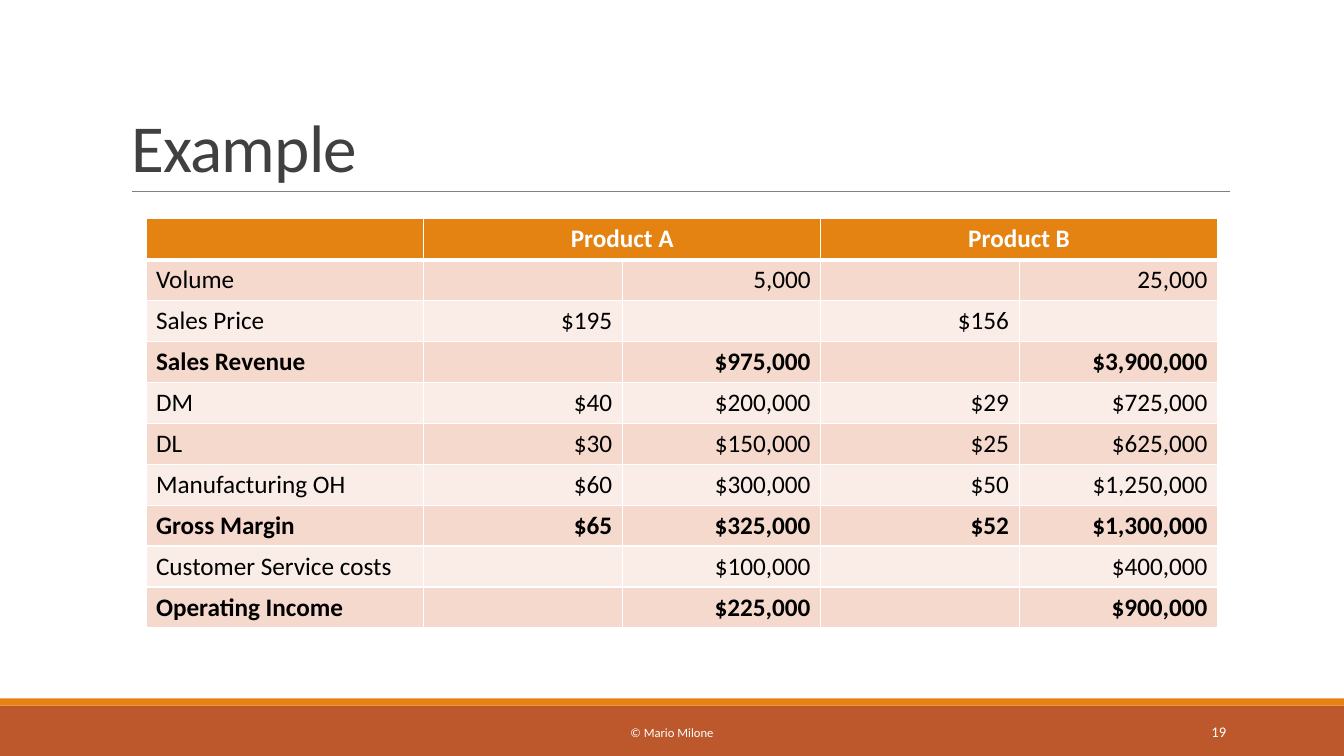
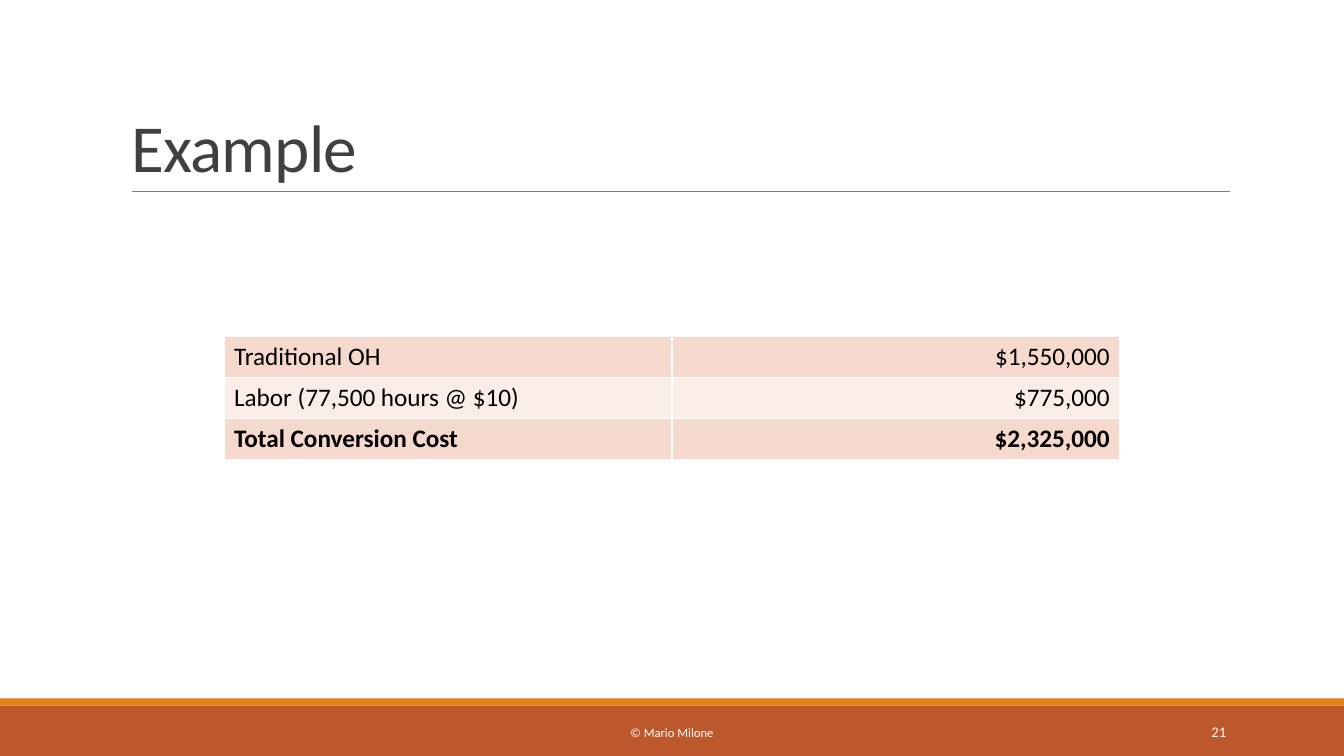
from lxml.etree import SubElement
from pptx import Presentation
from pptx.dml.color import RGBColor
from pptx.enum.shapes import MSO_CONNECTOR, MSO_SHAPE
from pptx.enum.text import MSO_ANCHOR, MSO_AUTO_SIZE, PP_ALIGN
from pptx.oxml.ns import qn
from pptx.util import Pt

WIDTH, HEIGHT = 960, 540
ROW_HEIGHT = 29.25
LEFT, CENTER, RIGHT = PP_ALIGN.LEFT, PP_ALIGN.CENTER, PP_ALIGN.RIGHT

PRODUCT_ROWS = [
    ["", "Product A", "", "Product B", ""],
    ["Volume", "", "5,000", "", "25,000"],
    ["Sales Price", "$195", "", "$156", ""],
    ["Sales Revenue", "", "$975,000", "", "$3,900,000"],
    ["DM", "$40", "$200,000", "$29", "$725,000"],
    ["DL", "$30", "$150,000", "$25", "$625,000"],
    ["Manufacturing OH", "$60", "$300,000", "$50", "$1,250,000"],
    ["Gross Margin", "$65", "$325,000", "$52", "$1,300,000"],
    ["Customer Service costs", "", "$100,000", "", "$400,000"],
    ["Operating Income", "", "$225,000", "", "$900,000"],
]
COST_ROWS = [
    ["Traditional OH", "$1,550,000"],
    ["Labor (77,500 hours @ $10)", "$775,000"],
    ["Total Conversion Cost", "$2,325,000"],
]
TOTALS = {"Sales Revenue", "Gross Margin", "Operating Income", "Total Conversion Cost"}


def color(value):
    """Turn a hex string into a colour."""
    return RGBColor.from_string(value)


def assign(target, values):
    """Set each attribute named in a dict."""
    for name, value in values.items():
        setattr(target, name, value)


class Deck:
    """Hold the house style and the slide being built."""

    FONT = "Calibri"
    RUST, ORANGE, GRAY = "BD582C", "E48312", "808080"
    WHITE, BLACK, TITLE = "FFFFFF", "000000", "404040"
    BANDING = ["F5D9CC", "FAEDE7"]

    def __init__(self):
        """Start an empty widescreen presentation."""
        self.show = Presentation()
        assign(self.show, {"slide_width": Pt(WIDTH), "slide_height": Pt(HEIGHT)})
        self.page = None

    def add_text(self, frame, text, size, ink, align=LEFT, bold=False):
        """Add one formatted run and return its paragraph and run."""
        para = frame.paragraphs[0]
        para.alignment = align
        span = para.add_run()
        span.text = text
        assign(span.font, {"name": self.FONT, "size": Pt(size), "bold": bold})
        span.font.color.rgb = color(ink)
        return para, span

    def band(self, top, height, fill):
        """Draw a full-width band."""
        box = self.page.shapes.add_shape(
            MSO_SHAPE.RECTANGLE, 0, Pt(top), Pt(WIDTH), Pt(height))
        box.shadow.inherit = False
        box.fill.solid()
        box.fill.fore_color.rgb = color(fill)
        box.line.fill.background()

    def rule(self, left, right, top):
        """Draw the thin line below the title."""
        line = self.page.shapes.add_connector(
            MSO_CONNECTOR.STRAIGHT, Pt(left), Pt(top), Pt(right), Pt(top))
        line.line.width = Pt(0.5)
        line.line.color.rgb = color(self.GRAY)
        SubElement(line._element.spPr, qn("a:effectLst"))

    def label(self, text, left, width, size, align):
        """Place a footer text."""
        box = self.page.shapes.add_textbox(Pt(left), Pt(508.5), Pt(width), Pt(28.75))
        assign(box.text_frame, {"word_wrap": True, "vertical_anchor": MSO_ANCHOR.MIDDLE})
        self.add_text(box.text_frame, text, size, self.WHITE, align)

    def title(self, text):
        """Fill and format the title placeholder."""
        box = self.page.shapes.title
        assign(box, {"left": Pt(86.4), "top": Pt(22.5),
                     "width": Pt(792), "height": Pt(114.25)})
        assign(box.text_frame, {"word_wrap": True, "auto_size": MSO_AUTO_SIZE.NONE,
                                "vertical_anchor": MSO_ANCHOR.BOTTOM})
        para, span = self.add_text(box.text_frame, text, 48, self.TITLE)
        para.line_spacing = 0.85
        span._r.get_or_add_rPr().set("spc", "-50")

    def slide(self, title, number):
        """Add a slide with its title, bands and footer."""
        self.page = self.show.slides.add_slide(self.show.slide_layouts[5])
        self.band(504, 36, self.RUST)
        self.band(498.75, 5.25, self.ORANGE)
        self.rule(94.25, 878.75, 136.75)
        self.title(title)
        self.label("© Mario Milone", 290.25, 379.5, 9, CENTER)
        self.label(str(number), 780, 103, 10.5, RIGHT)

    def cell(self, cell, fill, top=1, bottom=1):
        """Give a cell white borders and a fill."""
        properties = cell._tc.get_or_add_tcPr()
        for side, width in zip("LRTB", (1, 1, top, bottom)):
            line = SubElement(properties, qn(f"a:ln{side}"), w=str(Pt(width)))
            paint = SubElement(line, qn("a:solidFill"))
            SubElement(paint, qn("a:srgbClr"), val=self.WHITE)
        cell.fill.solid()
        cell.fill.fore_color.rgb = color(fill)

    def table(self, rows, left, top, widths, headers=0):
        """Add a banded table whose header labels span two columns."""
        frame = self.page.shapes.add_table(
            len(rows), len(widths), Pt(left), Pt(top),
            Pt(sum(widths)), Pt(ROW_HEIGHT * len(rows)))
        table = frame.table
        assign(table, {"first_row": False, "horz_banding": False})
        for column, width in zip(table.columns, widths):
            column.width = Pt(width)
        for index, values in enumerate(rows):
            table.rows[index].height = Pt(ROW_HEIGHT)
            header = index < headers
            fill = self.ORANGE if header else self.BANDING[(index - headers) % 2]
            for place, text in enumerate(values):
                cell = table.cell(index, place)
                self.cell(cell, fill, 3 if headers and index == headers else 1,
                          3 if header else 1)
                if header and text:
                    cell.merge(table.cell(index, place + 1))
                if text:
                    align = CENTER if header else RIGHT if place else LEFT
                    self.add_text(cell.text_frame, text, 18,
                                  self.WHITE if header else self.BLACK, align,
                                  header or values[0] in TOTALS)


def main():
    """Build and save the slides."""
    deck = Deck()
    deck.slide("Example", 19)
    deck.table(PRODUCT_ROWS, 104.25, 156.25, [198.5] + [141.75] * 4, headers=1)
    deck.slide("Example", 21)
    deck.table(COST_ROWS, 160, 240.5, [320] * 2)
    deck.show.save("out.pptx")


if __name__ == "__main__":
    main()
